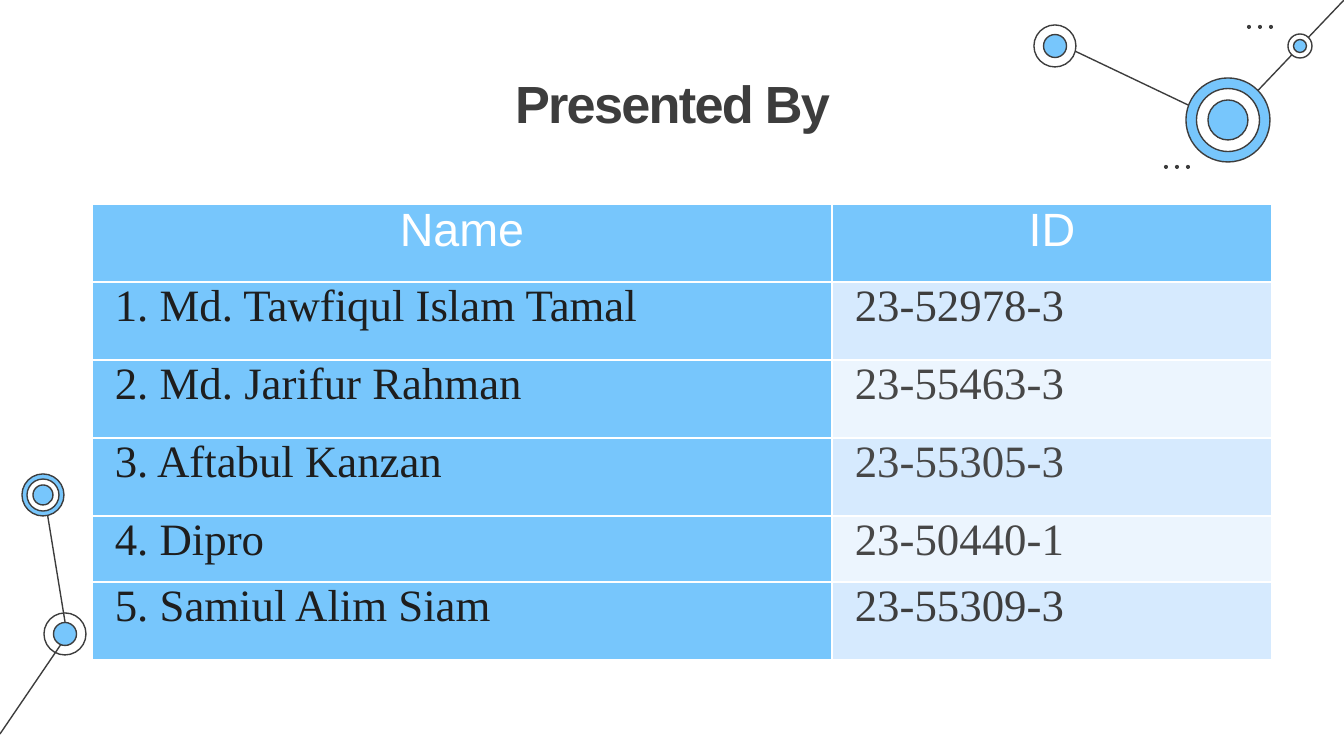
"""Build the team slide with a member table and node ornaments."""
from typing import NamedTuple

from lxml import etree
from pptx import Presentation, util as u
from pptx.dml.color import RGBColor
from pptx.enum import shapes, text
from pptx.oxml import ns

EMU_PER_PX = 9144000 / 1344
COLORS = {
    "white": "FFFFFF",
    "sky": "77C6FC",
    "ice": "D6EAFE",
    "frost": "ECF5FE",
    "ink": "1E1E1E",
    "charcoal": "3D3D3D",
    "grey": "474747",
}


class Ring(NamedTuple):
    diameter: int
    fill: str | None


class Node(NamedTuple):
    x: int
    y: int
    rings: tuple[Ring, ...]


class Link(NamedTuple):
    x1: int
    y1: int
    x2: int
    y2: int


class Member(NamedTuple):
    name: str
    number: str
    number_color: str
    band: str
    height: int


class CellStyle(NamedTuple):
    fill: str
    color: str
    font: str
    size: int
    align: text.PP_ALIGN


LINKS = (
    Link(67, 634, 44, 493),
    Link(0, 734, 66, 637),
    Link(1228, 124, 1058, 43),
    Link(1344, 0, 1228, 122),
)
NODES = (
    Node(65, 634, (Ring(42, None), Ring(23, "sky"))),
    Node(43, 495, (Ring(42, "sky"), Ring(32, "white"), Ring(20, "sky"))),
    Node(1228, 120, (Ring(84, "sky"), Ring(63, "white"), Ring(40, "sky"))),
    Node(1055, 46, (Ring(42, "white"), Ring(23, "sky"))),
    Node(1300, 46, (Ring(24, "white"), Ring(13, "sky"))),
)
DOT_ROWS = ((1249, 27), (1166, 167))
DOT_SIZE, DOT_STEP = 4, 11
COLUMNS = (("Name", 740), ("ID", 440))
HEADER_HEIGHT = 78
MEMBERS = (
    Member("1. Md. Tawfiqul Islam Tamal", "23-52978-3", "charcoal", "ice", 78),
    Member("2. Md. Jarifur Rahman", "23-55463-3", "grey", "frost", 78),
    Member("3. Aftabul Kanzan", "23-55305-3", "grey", "ice", 78),
    Member("4. Dipro", "23-50440-1", "grey", "frost", 66),
    Member("5. Samiul Alim Siam", "23-55309-3", "charcoal", "ice", 78),
)


def px(length: float) -> u.Emu:
    return u.Emu(round(length * EMU_PER_PX))


def rgb(name: str) -> RGBColor:
    return RGBColor.from_string(COLORS[name])


def draw_link(slide, link: Link) -> None:
    connector = slide.shapes.add_connector(
        shapes.MSO_CONNECTOR.STRAIGHT, *(px(value) for value in link))
    connector.line.color.rgb = rgb("charcoal")
    connector.line.width = u.Pt(0.75)
    etree.SubElement(connector._element.spPr, ns.qn("a:effectLst"))


def draw_circle(slide, x: int, y: int, diameter: int, fill: str | None,
                outlined: bool = True) -> None:
    circle = slide.shapes.add_shape(
        shapes.MSO_SHAPE.OVAL, px(x - diameter / 2), px(y - diameter / 2),
        px(diameter), px(diameter))
    circle.shadow.inherit = False
    if fill:
        circle.fill.solid()
        circle.fill.fore_color.rgb = rgb(fill)
    else:
        circle.fill.background()
    if outlined:
        circle.line.color.rgb = rgb("charcoal")
        circle.line.width = u.Pt(0.75)
    else:
        circle.line.fill.background()


def draw_ornaments(slide) -> None:
    for link in LINKS:
        draw_link(slide, link)
    for node in NODES:
        for ring in node.rings:
            draw_circle(slide, node.x, node.y, ring.diameter, ring.fill)
    for start, y in DOT_ROWS:
        for step in range(3):
            draw_circle(slide, start + step * DOT_STEP, y, DOT_SIZE,
                        "charcoal", outlined=False)


def write_heading(slide) -> None:
    heading = slide.shapes.title
    heading.left, heading.top = px(372), px(50)
    heading.width, heading.height = px(601), px(85)
    frame = heading.text_frame
    frame.text = "Presented By"
    frame.auto_size = text.MSO_AUTO_SIZE.NONE
    frame.vertical_anchor = text.MSO_ANCHOR.TOP
    frame.margin_left = frame.margin_right = u.Inches(0.1)
    frame.margin_top = frame.margin_bottom = u.Inches(0.1)
    paragraph = frame.paragraphs[0]
    paragraph.alignment = text.PP_ALIGN.CENTER
    paragraph.line_spacing = 1.12
    run = paragraph.runs[0]
    run.font.name, run.font.size, run.font.bold = "Arial", u.Pt(28), True
    run.font.color.rgb = rgb("charcoal")
    run.font._element.set("spc", "-90")


def write_cell(cell, content: str, style: CellStyle) -> None:
    properties = cell._tc.get_or_add_tcPr()
    for side in ("lnL", "lnR", "lnT", "lnB"):
        border = etree.SubElement(properties, ns.qn(f"a:{side}"), w=str(u.Pt(1)))
        paint = etree.SubElement(border, ns.qn("a:solidFill"))
        etree.SubElement(paint, ns.qn("a:srgbClr"), val=COLORS["white"])
    cell.fill.solid()
    cell.fill.fore_color.rgb = rgb(style.fill)
    cell.margin_left = cell.margin_right = u.Inches(0.17)
    cell.margin_top = cell.margin_bottom = 0
    cell.text_frame.text = content
    paragraph = cell.text_frame.paragraphs[0]
    paragraph.alignment = style.align
    font = paragraph.runs[0].font
    font.name, font.size, font.bold = style.font, u.Pt(style.size), False
    font.color.rgb = rgb(style.color)


def draw_members(slide) -> None:
    heights = [HEADER_HEIGHT, *(member.height for member in MEMBERS)]
    width = sum(column_width for _, column_width in COLUMNS)
    table = slide.shapes.add_table(
        len(heights), len(COLUMNS), px(92), px(204), px(width),
        px(sum(heights))).table
    for row, height in zip(table.rows, heights):
        row.height = px(height)
    header = CellStyle("sky", "white", "Arial", 25, text.PP_ALIGN.CENTER)
    for index, (label, column_width) in enumerate(COLUMNS):
        table.columns[index].width = px(column_width)
        write_cell(table.cell(0, index), label, header)
    name = CellStyle("sky", "ink", "Times New Roman", 24, text.PP_ALIGN.LEFT)
    for index, member in enumerate(MEMBERS, 1):
        number = name._replace(fill=member.band, color=member.number_color)
        write_cell(table.cell(index, 0), member.name, name)
        write_cell(table.cell(index, 1), member.number, number)


def main() -> None:
    deck = Presentation()
    deck.slide_width, deck.slide_height = px(1344), px(756)
    slide = deck.slides.add_slide(deck.slide_layouts[5])
    draw_ornaments(slide)
    write_heading(slide)
    draw_members(slide)
    deck.save("out.pptx")


if __name__ == "__main__":
    main()
